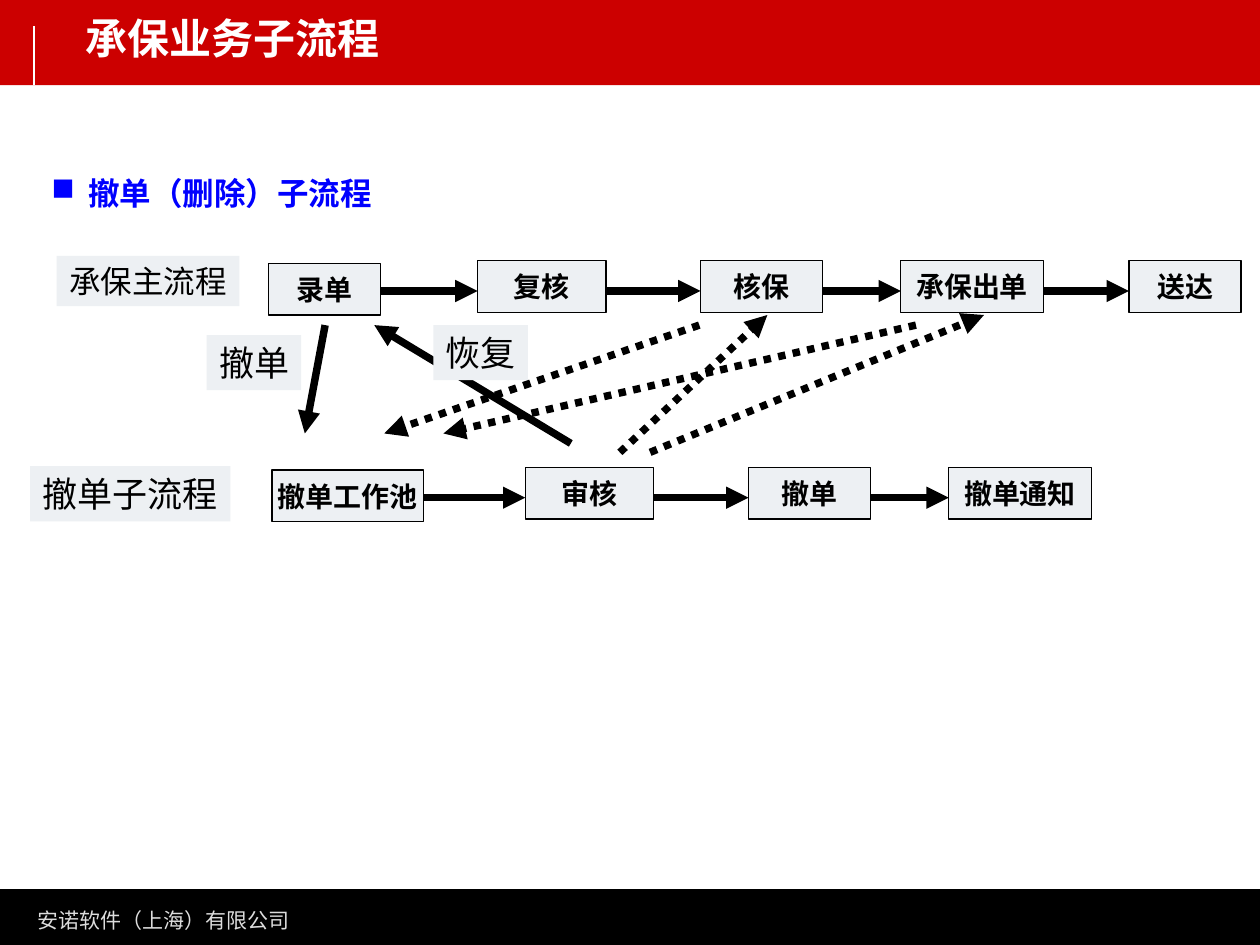
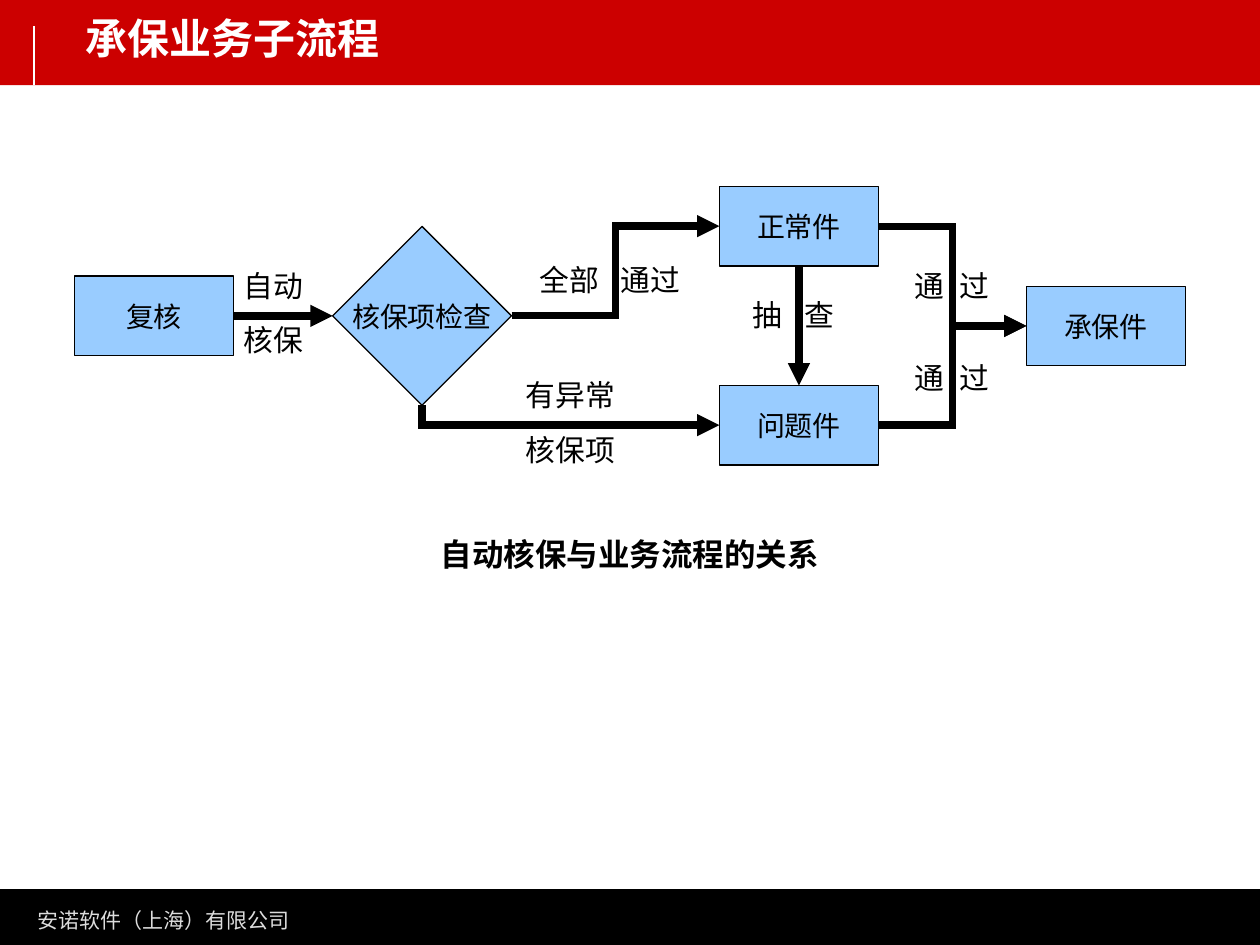
import pptx
import pptx.dml.color
import pptx.enum.dml
import pptx.enum.shapes
import pptx.enum.text
import pptx.oxml.ns
import pptx.util
from lxml import etree

Pt = pptx.util.Pt
SHAPE = pptx.enum.shapes.MSO_SHAPE
CONNECTOR = pptx.enum.shapes.MSO_CONNECTOR
ALIGN = pptx.enum.text.PP_ALIGN
ANCHOR = pptx.enum.text.MSO_ANCHOR
qn = pptx.oxml.ns.qn

BLACK, WHITE, RED, BLUE = "000000", "FFFFFF", "CC0000", "0000FF"
GREY, SKY, PALE = "EDF0F3", "99CCFF", "DDDDDD"
TOP, LEFT, BOTTOM, RIGHT = range(4)
ARROW_WIDTH = 4.25

TITLE = {"name": "DejaVu Sans", "size": Pt(24), "bold": True, "color": WHITE}
FOOTER = {"name": "DejaVu Sans", "size": Pt(12), "color": PALE}
HEADING = {"name": "Noto Sans CJK SC", "size": Pt(18), "bold": True, "color": BLUE}
STEP = {"name": "Noto Sans CJK SC", "size": Pt(16), "bold": True, "color": BLACK}
STAGE = {"name": "Arial", "size": Pt(16), "color": BLACK}
TAG = {"name": "Arial", "size": Pt(20), "color": BLACK}
SMALL_TAG = {**TAG, "size": Pt(18)}
CONDITION = {"name": "Cambria", "size": Pt(17), "color": BLACK}
CAPTION = {"name": "Cambria", "size": Pt(18), "bold": True, "color": BLACK}
EAST_ASIAN = {"Cambria": "Arial"}


def rgb(value):
    """Turn a hex string into a colour."""
    return pptx.dml.color.RGBColor.from_string(value)


def add_xml(parent, tag, **attributes):
    """Append a drawing element with the given attributes."""
    return etree.SubElement(parent, qn(tag), attributes)


def write(shape, lines, style, align=ALIGN.LEFT, anchor=ANCHOR.TOP, wrap=False, gap=0):
    """Fill a shape with styled lines, spaced by the gap, and return its frame."""
    frame = shape.text_frame
    frame.word_wrap = wrap
    frame.vertical_anchor = anchor
    for number, line in enumerate(lines):
        paragraph = frame.add_paragraph() if number else frame.paragraphs[0]
        paragraph.alignment = align
        if number:
            paragraph.space_before = Pt(gap)
        run = paragraph.add_run()
        run.text = line
        for key, value in style.items():
            if key == "color":
                run.font.color.rgb = rgb(value)
            else:
                setattr(run.font, key, value)
        run.font._element.set("lang", "zh-CN")
        add_xml(run.font._element, "a:ea",
                typeface=EAST_ASIAN.get(style["name"], style["name"]))
    return frame


def add_text(slide, box, lines, style, **layout):
    """Place free text in a box and return its frame."""
    return write(slide.shapes.add_textbox(*map(Pt, box)), lines, style, **layout)


def add_block(slide, box, fill, outlined=False, outline=SHAPE.RECTANGLE):
    """Draw a filled shape, with a thin black border when outlined."""
    block = slide.shapes.add_shape(outline, *map(Pt, box))
    block.shadow.inherit = False
    block.fill.solid()
    block.fill.fore_color.rgb = rgb(fill)
    if outlined:
        block.line.color.rgb = rgb(BLACK)
        block.line.width = Pt(0.75)
    else:
        block.line.fill.background()
    return block


def add_line(slide, start, end, kind=CONNECTOR.STRAIGHT, color=BLACK,
             width=ARROW_WIDTH, arrow=True, dotted=False):
    """Draw a connector that points at its end."""
    line = slide.shapes.add_connector(kind, *map(Pt, start + end))
    line.line.color.rgb = rgb(color)
    line.line.width = Pt(width)
    if dotted:
        line.line.dash_style = pptx.enum.dml.MSO_LINE.ROUND_DOT
    if arrow:
        stroke = line.line._get_or_add_ln()
        add_xml(stroke, "a:miter", lim="800000")
        add_xml(stroke, "a:tailEnd", type="triangle")
    add_xml(line._element.spPr, "a:effectLst")
    return line


def link(slide, source, source_side, target, target_side, kind=CONNECTOR.STRAIGHT):
    """Join the sides of two shapes with an arrow."""
    line = add_line(slide, (0, 0), (0, 0), kind)
    line.begin_connect(source, source_side)
    line.end_connect(target, target_side)


def add_corner(slide, start, end):
    """Draw an arrow that runs down and then right."""
    (x1, y1), (x2, y2) = start, end
    middle_x, middle_y = (x1 + x2) / 2, (y1 + y2) / 2
    across, down = (x2 - x1) / 2, (y2 - y1) / 2
    line = add_line(slide, (middle_x + down, middle_y - across),
                    (middle_x - down, middle_y + across), CONNECTOR.ELBOW)
    properties = line._element.spPr
    properties.find(qn("a:xfrm")).set("rot", str(270 * 60000))
    properties.find(qn("a:prstGeom")).set("prst", "bentConnector2")


def add_frame(slide, box):
    """Draw the title band, its rule and the footer."""
    left, top, width, height = box
    add_block(slide, (left, top + height - 31.7, width, 31.7), BLACK, outlined=True)
    add_block(slide, (left, top, width, 48.7), RED)
    add_text(slide, (left + 14.4, top + height - 25.2, 158.4, 21.6),
             ["安诺软件（上海）有限公司"], FOOTER)
    add_line(slide, (left + 19.5, top + 15), (left + 19.5, top + 48.7),
             color=WHITE, width=1.5, arrow=False)
    add_text(slide, (left + 41.8, top + 3.6, 648, 36), ["承保业务子流程"], TITLE, wrap=True)


def add_heading(slide, box, words):
    """Write a heading with a square bullet."""
    frame = add_text(slide, box, [words], HEADING, wrap=True)
    properties = frame.paragraphs[0]._p.get_or_add_pPr()
    for key, value in (("marL", 21), ("indent", -21)):
        properties.set(key, str(int(Pt(value))))
    add_xml(add_xml(properties, "a:buClr"), "a:srgbClr", val=BLUE)
    add_xml(properties, "a:buChar", char="■")


def add_step_row(slide, box, steps):
    """Draw a row of steps joined by arrows; the first sits slightly lower."""
    left, top, height = box
    arrow_y = top + 17.3
    previous_edge = None
    for words, offset, width in steps:
        x = left + offset
        drop = 0 if previous_edge else 1.5
        step = add_block(slide, (x, top + drop, width, height), GREY, outlined=True)
        write(step, [words], STEP, align=ALIGN.CENTER, anchor=ANCHOR.MIDDLE)
        if previous_edge:
            add_line(slide, (previous_edge, arrow_y), (x, arrow_y))
        previous_edge = x + width


def add_tag(slide, box, words, style=TAG):
    """Write a label on a grey ground."""
    write(add_block(slide, box, GREY), [words], style)


def add_withdrawal(slide, box):
    """Draw the main row, the withdrawal row and the moves between them."""
    left, top = box
    add_step_row(slide, (left + 2.1, top + 118.1, 29.5), [
        ("撤单工作池", 0, 86.4), ("审核", 144.7, 73.4),
        ("撤单", 272.2, 69.8), ("撤单通知", 386.7, 81.4)])
    add_step_row(slide, (left, top, 29.5), [
        ("录单", 0, 64.1), ("复核", 119.5, 73.4), ("核保", 246.9, 69.8),
        ("承保出单", 361.4, 81.4), ("送达", 491.7, 64.1)])
    add_tag(slide, (left - 121, top - 2.8, 104.4, 28.8), "承保主流程", SMALL_TAG)
    add_tag(slide, (left - 136.1, top + 117.4, 114.4, 31.5), "撤单子流程")

    upper, lower, review = top + 36.8, top + 98.7, top + 109.5
    add_line(slide, (left + 32.4, upper), (left + 20.8, lower))
    add_line(slide, (left + 172.8, top + 104.4), (left + 60.5, upper))
    add_tag(slide, (left - 35.3, top + 42.5, 54, 31.5), "撤单")
    add_tag(slide, (left + 94.3, upper, 54, 31.5), "恢复")
    for source_x, pool_x, review_x, target_x in (
            (246.2, 66.2, 200.8, 285.1), (370, 100, 218.1, 408.9)):
        add_line(slide, (left + source_x, upper), (left + pool_x, lower), dotted=True)
        add_line(slide, (left + review_x, review), (left + target_x, top + 31), dotted=True)


def add_stacked_label(slide, center, lines):
    """Write one line above and one below a horizontal arrow."""
    x, y = center
    width = max(map(len, lines)) * CONDITION["size"].pt + 24
    add_text(slide, (x - width / 2, y - 36, width, 72), lines, CONDITION,
             align=ALIGN.CENTER, anchor=ANCHOR.MIDDLE, wrap=True, gap=10.6)


def add_split_label(slide, center, first, second, gap):
    """Write two words on either side of a vertical arrow."""
    x, y = center
    size = CONDITION["size"].pt
    text_width = (len(first) + len(second)) * size + gap
    width = text_width + 8
    frame = add_text(slide, (x - width / 2, y - 16, width, 32),
                     [f"{first}\t{second}"], CONDITION, anchor=ANCHOR.MIDDLE, wrap=True)
    frame.margin_left = Pt(4)
    frame.margin_right = 0
    stops = add_xml(frame.paragraphs[0]._p.get_or_add_pPr(), "a:tabLst")
    add_xml(stops, "a:tab", pos=str(int(Pt(len(first) * size + gap))), algn="l")


def add_underwriting(slide, box):
    """Draw the automatic underwriting flow and its caption."""
    left, top = box
    stages = {}
    for words, x, y, width, height, outline in (
            ("复核", 0, 51.2, 90.9, 45.4, SHAPE.RECTANGLE),
            ("正常件", 368.6, 0, 90.9, 45.4, SHAPE.RECTANGLE),
            ("问题件", 368.6, 113.7, 90.9, 45.4, SHAPE.RECTANGLE),
            ("核保项检查", 147.6, 22.8, 102.2, 102.2, SHAPE.DIAMOND),
            ("承保件", 544, 57, 90.9, 45.4, SHAPE.RECTANGLE)):
        stage = add_block(slide, (left + x, top + y, width, height), SKY, True, outline)
        write(stage, [words], STAGE, align=ALIGN.CENTER, anchor=ANCHOR.MIDDLE)
        stages[words] = stage

    check, normal, problem = (stages[words] for words in ("核保项检查", "正常件", "问题件"))
    link(slide, stages["复核"], RIGHT, check, LEFT)
    link(slide, check, RIGHT, normal, LEFT, CONNECTOR.ELBOW)
    add_corner(slide, (left + 198.7, top + 125), (left + 368.6, top + 136.4))
    for source in (normal, problem):
        link(slide, source, RIGHT, stages["承保件"], LEFT, CONNECTOR.ELBOW)
    link(slide, normal, BOTTOM, problem, TOP)

    for lines, x, y in ((["自动", "核保"], 113.6, 72), (["有异常", "核保项"], 283.5, 134.6)):
        add_stacked_label(slide, (left + x, top + y), lines)
    for first, second, x, y, gap in (
            ("通", "过", 501.4, 56.6, 8.5), ("通", "过", 501.4, 109.1, 8.5),
            ("全部", "通过", 306, 53.3, 12.7), ("抽", "查", 410.7, 73.1, 12.7)):
        add_split_label(slide, (left + x, top + y), first, second, gap)
    add_text(slide, (left + 130.3, top + 187.2, 374.4, 45.4), ["自动核保与业务流程的关系"],
             CAPTION, align=ALIGN.CENTER, anchor=ANCHOR.MIDDLE)


def main():
    """Build both slides and save them."""
    deck = pptx.Presentation()
    deck.slide_width, deck.slide_height = Pt(720), Pt(540)
    withdrawal, underwriting = (deck.slides.add_slide(deck.slide_layouts[6]) for _ in range(2))
    for slide in (withdrawal, underwriting):
        add_frame(slide, (0, 0, 720, 540))
    add_heading(withdrawal, (22.3, 95.8, 298, 28.8), "撤单（删除）子流程")
    add_withdrawal(withdrawal, (153.4, 149))
    add_underwriting(underwriting, (42.5, 106.6))
    deck.save("out.pptx")


if __name__ == "__main__":
    main()
